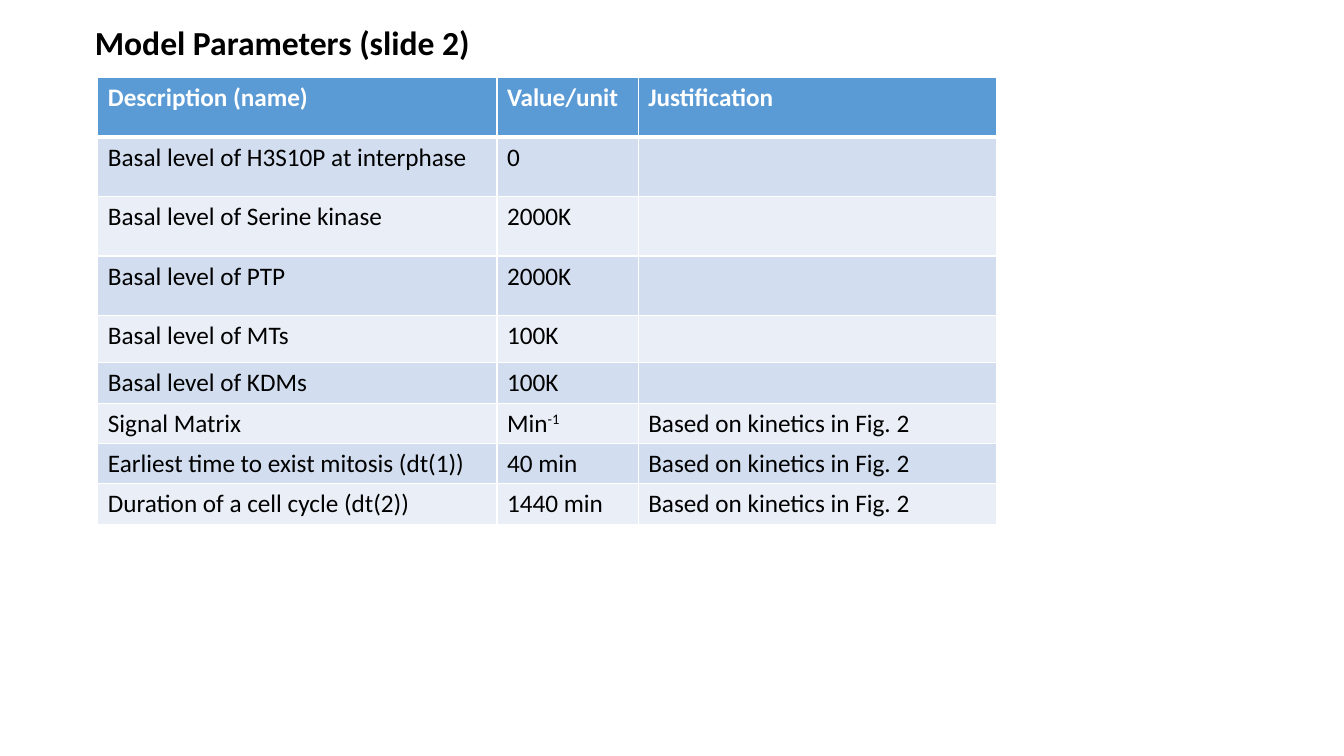
import pptx
import pptx.util
import pptx.dml.color
import pptx.enum.text
import pptx.oxml
import pptx.oxml.ns

Inches = pptx.util.Inches
Pt = pptx.util.Pt
RGBColor = pptx.dml.color.RGBColor

BLACK = RGBColor(0x00, 0x00, 0x00)
WHITE = RGBColor(0xFF, 0xFF, 0xFF)
BLUE = RGBColor(0x5B, 0x9B, 0xD5)
BANDS = (RGBColor(0xEA, 0xEF, 0xF7), RGBColor(0xD2, 0xDE, 0xEF))
FONT = "Calibri"
BASIS = "Based on kinetics in Fig. 2"
WIDTHS = (3.96, 1.4, 3.55)
HEIGHTS = (0.59,) * 4 + (0.47,) + (0.4,) * 4
ROWS = (
    ("Description (name)", "Value/unit", "Justification"),
    ("Basal level of H3S10P at interphase", "0", ""),
    ("Basal level of Serine kinase", "2000K", ""),
    ("Basal level of PTP", "2000K", ""),
    ("Basal level of MTs", "100K", ""),
    ("Basal level of KDMs", "100K", ""),
    ("Signal Matrix", "Min", BASIS),
    ("Earliest time to exist mitosis (dt(1))", "40 min", BASIS),
    ("Duration of a cell cycle (dt(2))", "1440 min", BASIS),
)


def style(font, size, color, bold):
    font.name = FONT
    font.size = Pt(size)
    font.color.rgb = color
    font.bold = bold


def add_title(slide, text):
    title = slide.shapes.title
    title.left, title.top = Inches(0.84), Inches(0.17)
    title.width, title.height = Inches(9.62), Inches(0.5)
    frame = title.text_frame
    frame.text = text
    frame.word_wrap = True
    frame.auto_size = pptx.enum.text.MSO_AUTO_SIZE.SHAPE_TO_FIT_TEXT
    frame.vertical_anchor = pptx.enum.text.MSO_ANCHOR.TOP
    line = frame.paragraphs[0]
    line.alignment = pptx.enum.text.PP_ALIGN.LEFT
    line.line_spacing = 1.0
    line.space_before = Pt(0)
    style(line.runs[0].font, 24, BLACK, True)


def add_edges(cell, head):
    props = cell._tc.get_or_add_tcPr()
    for spot, side in enumerate(("lnL", "lnR", "lnT", "lnB")):
        width = Pt(3 if head and side == "lnB" else 1)
        edge = pptx.oxml.parse_xml(
            f'<a:{side} {pptx.oxml.ns.nsdecls("a")} w="{width}"><a:solidFill>'
            f'<a:srgbClr val="{WHITE}"/></a:solidFill></a:{side}>'
        )
        props.insert(spot, edge)


def fill_cell(cell, text, row):
    head = row == 0
    cell.fill.solid()
    cell.fill.fore_color.rgb = BLUE if head else BANDS[row % 2]
    add_edges(cell, head)
    if text:
        cell.text_frame.text = text
        run = cell.text_frame.paragraphs[0].runs[0]
        style(run.font, 18, WHITE if head else BLACK, head)


def add_power(cell, text):
    run = cell.text_frame.paragraphs[0].add_run()
    run.text = text
    style(run.font, 18, BLACK, False)
    run._r.get_or_add_rPr().set("baseline", "30000")


def add_grid(slide):
    table = slide.shapes.add_table(
        len(ROWS), len(WIDTHS), Inches(0.97), Inches(0.77),
        Inches(sum(WIDTHS)), Inches(sum(HEIGHTS)),
    ).table
    for column, width in zip(table.columns, WIDTHS):
        column.width = Inches(width)
    for row, texts in enumerate(ROWS):
        table.rows[row].height = Inches(HEIGHTS[row])
        for column, text in enumerate(texts):
            fill_cell(table.cell(row, column), text, row)
    add_power(table.cell(6, 1), "-1")


def main():
    deck = pptx.Presentation()
    deck.slide_width, deck.slide_height = Inches(13.33), Inches(7.5)
    slide = deck.slides.add_slide(deck.slide_layouts[5])
    add_title(slide, "Model Parameters (slide 2)")
    add_grid(slide)
    deck.save("out.pptx")


if __name__ == "__main__":
    main()
